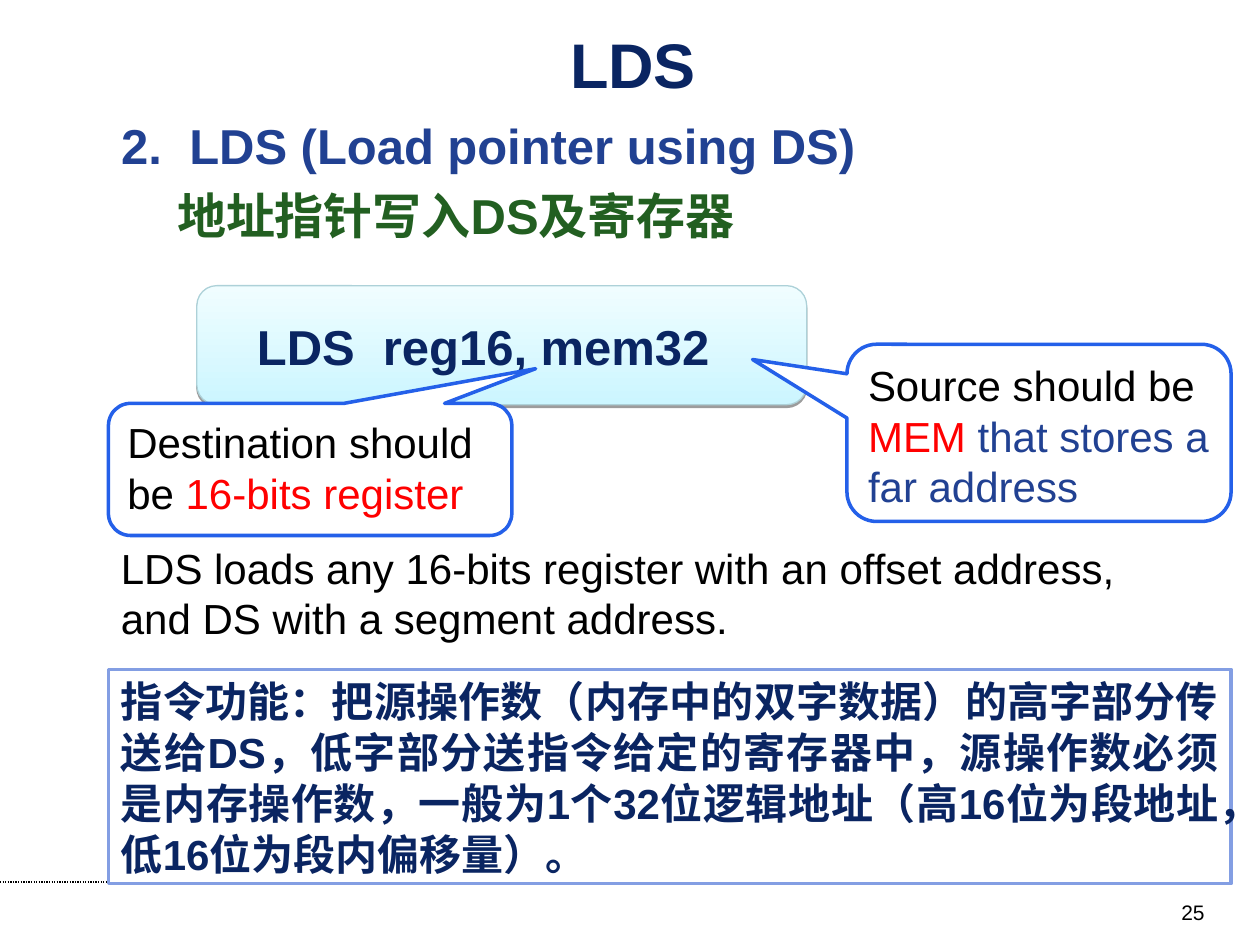
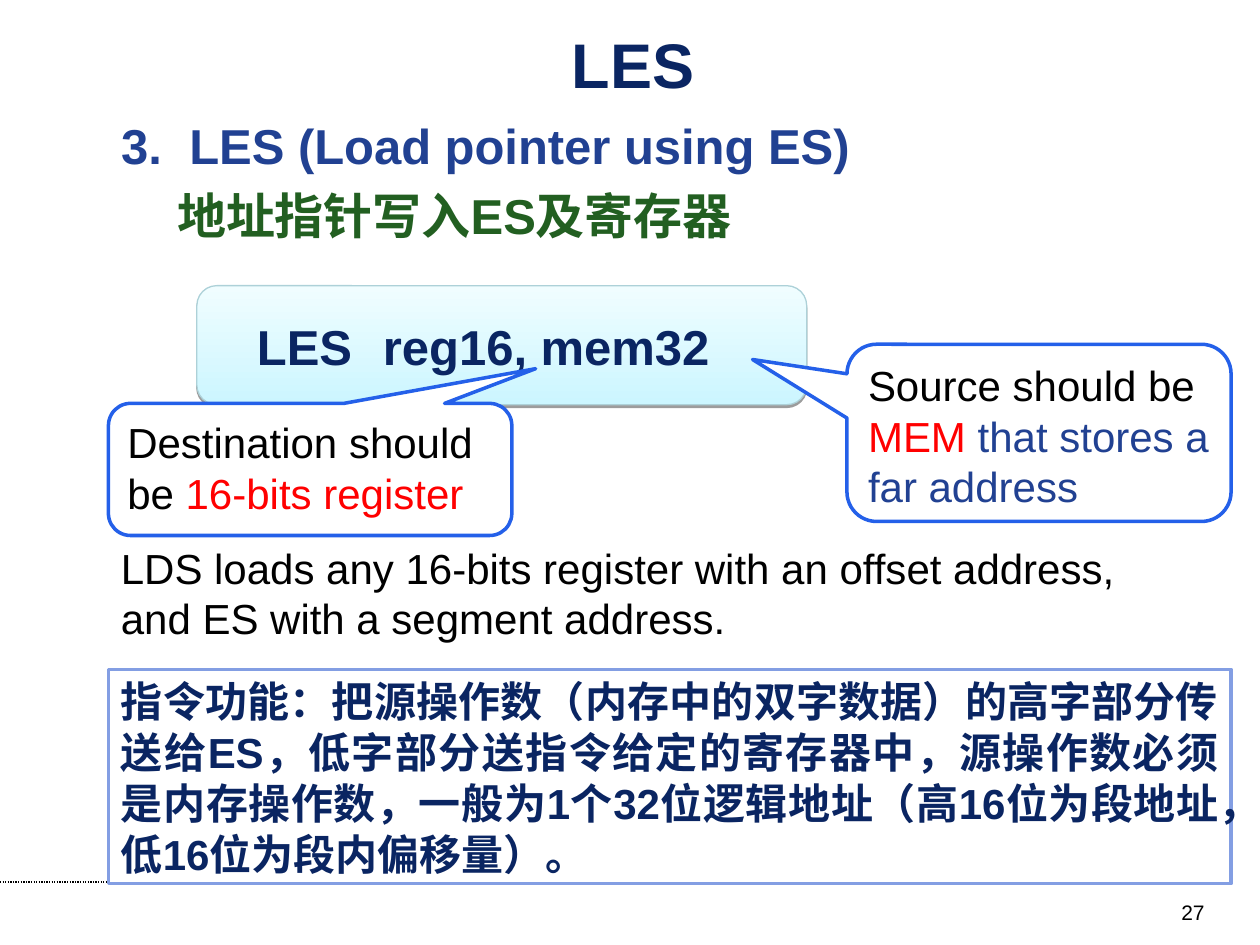
from lxml import etree
from pptx import Presentation
from pptx import util as u
from pptx.dml.color import RGBColor
from pptx.enum import dml, shapes, text
from pptx.oxml import ns

Pt = u.Pt
FONT = "Arial"
INK = {
    "navy": "0A2562", "blue": "214192", "green": "225F21",
    "red": "FF0000", "black": "000000", "white": "FFFFFF",
    "edge": "2460E9", "frame": "839EE3", "rim": "ADD1D8",
    "low": "CCF6FF", "high": "F0FDFF",
}
LEFT, RIGHT = 62, 703.5
KINDS = shapes.MSO_SHAPE
ALIGN = text.PP_ALIGN


def ink(name):
    return RGBColor.from_string(INK[name])


def node(parent, tag, **attrs):
    item = etree.SubElement(parent, ns.qn(tag))
    for key, value in attrs.items():
        item.set(key, str(value))
    return item


def place(shape, box):
    shape.left, shape.top, shape.width, shape.height = map(Pt, box)


def frame(shape, anchor=text.MSO_ANCHOR.TOP, left=7.2):
    body = shape.text_frame
    body.word_wrap = True
    body.auto_size = text.MSO_AUTO_SIZE.NONE
    body.vertical_anchor = anchor
    body.margin_left, body.margin_right = Pt(left), Pt(7.2)
    body.margin_top = body.margin_bottom = Pt(3.6)
    return body


def write(body, *runs, size=24, bold=False, align=ALIGN.LEFT, before=0,
          left=0, hang=0, tab=None):
    para = body.paragraphs[0]
    if para.runs:
        para = body.add_paragraph()
    props = para._p.get_or_add_pPr()
    props.set("marL", str(Pt(left)))
    props.set("indent", str(-Pt(hang)))
    node(props, "a:buNone")
    if tab:
        node(node(props, "a:tabLst"), "a:tab", pos=Pt(tab), algn="l")
    para.alignment = align
    para.space_before = Pt(before)
    para.line_spacing = Pt(round(size * 1.21))
    for words, color in runs:
        run = para.add_run()
        run.text = words
        run.font.size, run.font.bold, run.font.name = Pt(size), bold, FONT
        run.font.color.rgb = ink(color)
        node(run._r.get_or_add_rPr(), "a:ea", typeface=FONT)


def panel(slide, kind, box, edge, width=2, adjust=()):
    shape = slide.shapes.add_shape(kind, *map(Pt, box))
    shape.shadow.inherit = False
    shape.fill.solid()
    shape.fill.fore_color.rgb = ink("white")
    shape.line.color.rgb = ink(edge)
    shape.line.width = Pt(width)
    for index, value in enumerate(adjust):
        shape.adjustments[index] = value
    return shape


def label(slide, box):
    return frame(slide.shapes.add_textbox(*map(Pt, box)))


def footer(slide, number):
    rule = slide.shapes.add_connector(
        shapes.MSO_CONNECTOR.STRAIGHT, 0, Pt(504), Pt(545.75), Pt(504))
    rule.line.color.rgb = ink("black")
    rule.line.width = Pt(0.75)
    rule.line.dash_style = dml.MSO_LINE.ROUND_DOT
    node(rule._element.spPr, "a:effectLst")
    write(label(slide, (527.75, 509.75, 167.75, 19.5)),
          (str(number), "black"), size=12, align=ALIGN.RIGHT)


def header(slide, name, reg, step):
    title, head = slide.placeholders
    place(title, (36, 18, 651.5, 36))
    write(frame(title, text.MSO_ANCHOR.MIDDLE), (name, "navy"),
          size=36, bold=True, align=ALIGN.CENTER)
    place(head, (LEFT, 62, 466, 80.5))
    body = frame(head)
    write(body, (f"{step}.\t{name} (Load pointer using {reg})", "blue"),
          size=28, bold=True, left=39, hang=39, tab=39)
    write(body, (f"地址指针写入{reg}及寄存器", "green"),
          size=28, bold=True, before=6, left=32)


def syntax(slide, name, box):
    card = panel(slide, KINDS.ROUNDED_RECTANGLE, box, "rim", 0.75, [0.167])
    card.fill.gradient()
    card.fill.gradient_angle = 90
    for stop, color in zip(card.fill.gradient_stops, ("low", "high")):
        stop.color.rgb = ink(color)
    effects = card._element.spPr.find(ns.qn("a:effectLst"))
    shade = node(effects, "a:outerShdw", blurRad=0, dist=Pt(1.6),
                 dir=5400000, rotWithShape=0)
    node(node(shade, "a:srgbClr", val=INK["black"]), "a:alpha", val=38000)
    write(frame(card, text.MSO_ANCHOR.MIDDLE, left=31),
          (f"{name}\treg16, mem32", "navy"), size=28, bold=True, tab=95)


def callout(slide, box, tip, *runs):
    shape = panel(slide, KINDS.ROUNDED_RECTANGULAR_CALLOUT, box, "edge",
                  adjust=(*tip, 0.167))
    write(frame(shape), *runs)


def lesson(deck, name, reg, step, number):
    slide = deck.slides.add_slide(deck.slide_layouts[1])
    footer(slide, number)
    header(slide, name, reg, step)
    syntax(slide, name, (112.5, 163.25, 348.5, 68))
    write(label(slide, (LEFT, 306, 607.5, 65)),
          ("LDS loads any 16-bits register with an offset address, "
           f"and {reg} with a segment address.", "black"))
    callout(slide, (RIGHT - 219.5, 196.75, 219.5, 101.25), (-0.746, -0.414),
            ("Source should be ", "black"), ("MEM ", "red"),
            ("that stores a far address", "blue"))
    callout(slide, (LEFT, 230.5, 230.5, 75.5), (0.559, -0.763),
            ("Destination should be ", "black"), ("16-bits register", "red"))
    note = panel(slide, KINDS.RECTANGLE,
                 (LEFT, 382.5, RIGHT - LEFT, 122.5), "frame")
    write(frame(note),
          (f"指令功能：把源操作数（内存中的双字数据）的高字部分传送给{reg}，"
           "低字部分送指令给定的寄存器中，源操作数必须是内存操作数，"
           "一般为1个32位逻辑地址（高16位为段地址，低16位为段内偏移量）。", "navy"),
          bold=True, align=ALIGN.JUSTIFY)


def main():
    deck = Presentation()
    deck.slide_width, deck.slide_height = Pt(720), Pt(540)
    lesson(deck, "LDS", "DS", 2, 25)
    lesson(deck, "LES", "ES", 3, 27)
    deck.save("out.pptx")


if __name__ == "__main__":
    main()
